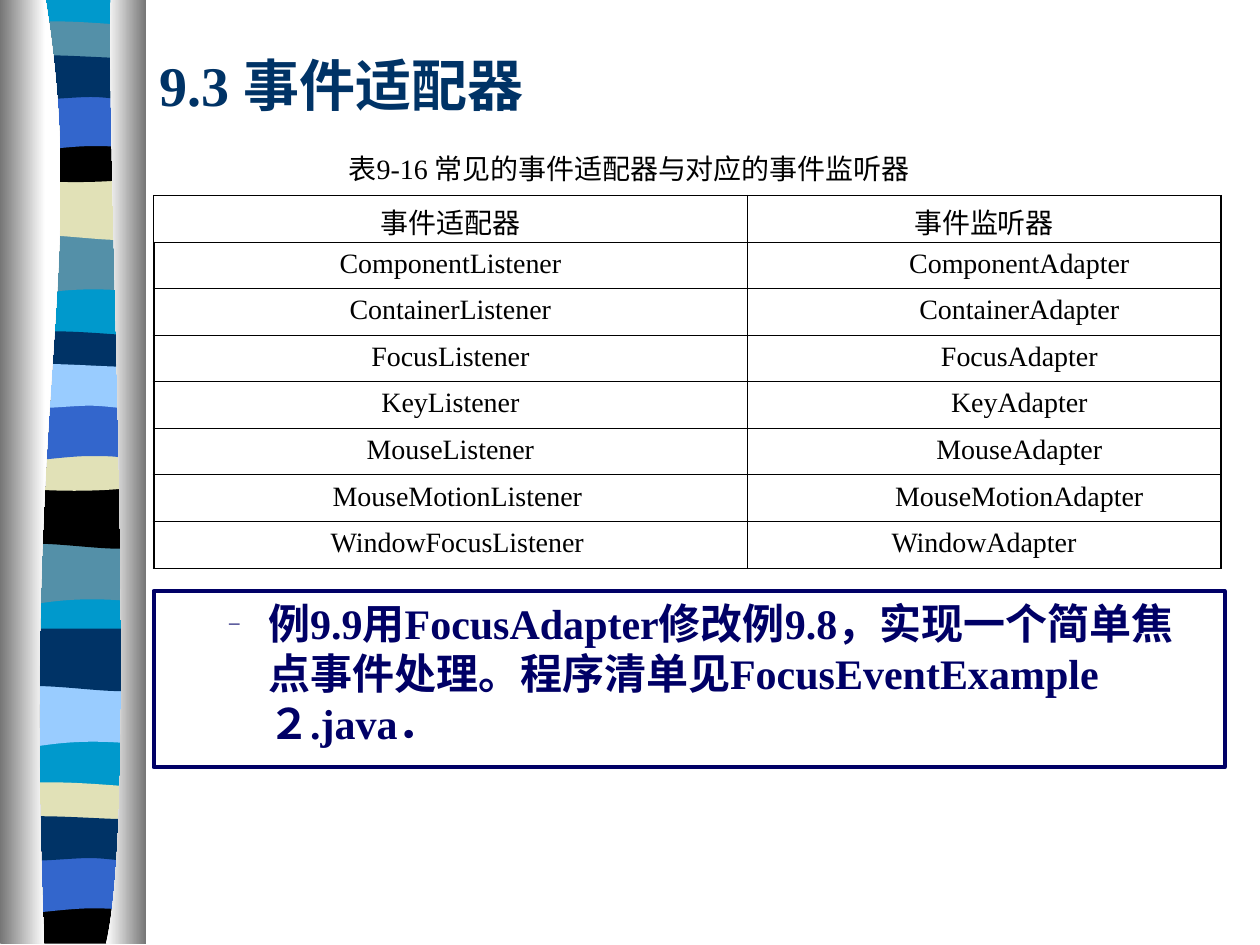
from lxml import etree
from pptx import Presentation
from pptx.dml.color import RGBColor
from pptx.enum.shapes import MSO_SHAPE as SHAPE
from pptx.enum.text import MSO_ANCHOR as ANCHOR, PP_ALIGN as ALIGN
from pptx.oxml.ns import qn
from pptx.util import Inches, Pt

FONT = "Times New Roman"
BLACK = RGBColor(0x00, 0x00, 0x00)
WHITE = RGBColor(0xFF, 0xFF, 0xFF)
GRAY = RGBColor(0x76, 0x76, 0x76)
NAVY = RGBColor(0x00, 0x33, 0x66)
INK = RGBColor(0x00, 0x00, 0x66)
CYAN = RGBColor(0x00, 0x99, 0xCC)
TEAL = RGBColor(0x54, 0x90, 0xA8)
SAND = RGBColor(0xE1, 0xE1, 0xB7)
BLUE = RGBColor(0x33, 0x66, 0xCC)
SKY = RGBColor(0x99, 0xCC, 0xFF)

# Band outlines from the top right corner, relative to the band's top left:
# a pair is a line end, six numbers are a cubic curve
WIDTH = 1.08
FLAT_TOP = [(0, 0), (WIDTH, 0)]
BOWED_TOP = [(0, 0), (0.66, 0.05, 0.85, 0, WIDTH, 0)]
BANDS = {
    "wave": [(WIDTH, 0.47), (0.33, 0.39, 0.18, 0.55, 0, 0.47)] + FLAT_TOP,
    "swell": [(WIDTH, 0.47), (0.9, 0.55, 0.33, 0.41, 0, 0.47)] + FLAT_TOP,
    "lens": [(WIDTH, 0.24), (0.9, 0.28, 0.18, 0.28, 0, 0.24), (0, 0),
             (0.06, -0.05, 0.23, -0.04, 0.41, -0.04),
             (0.59, -0.04, 0.94, -0.01, WIDTH, 0)],
    "bow": [(WIDTH, 0.32), (0.9, 0.38, 0.18, 0.38, 0, 0.32)] + BOWED_TOP,
    "arch": [(WIDTH, 0.47), (0.91, 0.42, 0.84, 0.42, 0.66, 0.42),
             (0.48, 0.42, 0.16, 0.47, 0, 0.47)] + FLAT_TOP,
    "ripple": [(WIDTH, 0.31), (1.01, 0.36, 0.84, 0.31, 0.66, 0.31),
               (0.48, 0.31, 0.11, 0.36, 0, 0.31), (0, 0),
               (0.15, -0.05, 0.73, 0, 0.91, 0), (1.09, 0, 1.04, 0, WIDTH, 0)],
    "foot": [(WIDTH, 0.37), (0, 0.37)] + BOWED_TOP,
    "back": [(WIDTH, 7.48), (0, 7.48)] + FLAT_TOP,
}

# Kind, left, top, colour, from back to front
RIBBON = [
    ("back", 0.06, -0.01, CYAN),
    ("wave", 0.06, 1.85, TEAL), ("swell", 0.06, 1.41, SAND),
    ("lens", 0.06, 0.21, TEAL), ("bow", 0.06, 1.08, BLACK),
    ("arch", 0.06, 0.74, BLUE), ("ripple", 0.06, 0.46, NAVY),
    ("wave", 0.05, 4.31, TEAL), ("swell", 0.05, 3.86, BLACK),
    ("lens", 0.05, 2.67, NAVY), ("bow", 0.05, 3.53, SAND),
    ("arch", 0.05, 3.2, BLUE), ("ripple", 0.05, 2.91, SKY),
    ("wave", 0.06, 5.44, SKY), ("swell", 0.06, 4.99, NAVY),
    ("lens", 0.05, 6.25, SAND), ("foot", 0.05, 7.12, BLACK),
    ("arch", 0.05, 6.79, BLUE), ("ripple", 0.05, 6.5, NAVY),
]

# Start, outline, colours from left to right
PILLARS = [
    ((0.36, -0.01), [(0.71, 2.16, 0.17, 2.96, 0.35, 7.49), (0, 7.49), (0, -0.01)],
     (GRAY, WHITE)),
    ((0.88, -0.01), [(0.84, 1.25, 1.11, 6.46, 0.84, 7.49), (1.16, 7.49), (1.16, -0.01)],
     (WHITE, GRAY)),
]

# Listener, its indent, adapter, its indent
ROWS = [
    ("事件适配器", 0, "事件监听器", 0),
    ("ComponentListener", 0, "ComponentAdapter", 0.56),
    ("ContainerListener", 0, "ContainerAdapter", 0.56),
    ("FocusListener", 0, "FocusAdapter", 0.56),
    ("KeyListener", 0, "KeyAdapter", 0.56),
    ("MouseListener", 0, "MouseAdapter", 0.56),
    ("MouseMotionListener", 0.11, "MouseMotionAdapter", 0.56),
    ("WindowFocusListener", 0.11, "WindowAdapter", 0),
]
THIN, THICK = Pt(0.45), Pt(1.47)


def write(p, text, color, **formats):
    r = p.add_run()
    r.text = text
    r.font.color.rgb = color
    for name, value in {"name": FONT, **formats}.items():
        setattr(r.font, name, value)


def add_outline(s, start, outline, left=0, top=0):
    def place(x, y):
        return Inches(left + x), Inches(top + y)

    builder = s.shapes.build_freeform(*place(*start))
    builder.add_line_segments([place(*seg[-2:]) for seg in outline], close=True)
    sp = builder.convert_to_shape()
    sp.shadow.inherit = False
    sp.line.fill.background()
    # Bend the six-number segments into cubic curves
    for line, seg in zip(list(sp._element.iter(qn("a:lnTo"))), outline):
        if len(seg) == 6:
            line.tag = qn("a:cubicBezTo")
            for i in (0, 1):
                x, y = place(*seg[2 * i:2 * i + 2])
                pt = etree.Element(qn("a:pt"), x=str(x - sp.left), y=str(y - sp.top))
                line.insert(i, pt)
    return sp


def add_ribbon(s):
    for kind, left, top, color in RIBBON:
        sp = add_outline(s, (WIDTH, 0), BANDS[kind], left, top)
        sp.fill.solid()
        sp.fill.fore_color.rgb = color
    for start, outline, colors in PILLARS:
        sp = add_outline(s, start, outline)
        sp.fill.gradient()
        sp.fill.gradient_angle = 0
        for stop, color in zip(sp.fill.gradient_stops, colors):
            stop.color.rgb = color


def add_label(s, box, text, color, wrap, **formats):
    tf = s.shapes.add_textbox(*map(Inches, box)).text_frame
    tf.word_wrap = wrap
    tf.vertical_anchor = ANCHOR.MIDDLE
    write(tf.paragraphs[0], text, color, **formats)


def set_borders(cell, widths):
    tc_pr = cell._tc.get_or_add_tcPr()
    for side, width in zip("LRTB", widths):
        ln = etree.SubElement(tc_pr, qn("a:ln" + side), w=str(width))
        fill = etree.SubElement(ln, qn("a:solidFill"))
        etree.SubElement(fill, qn("a:srgbClr"), val=str(BLACK))


def add_listener_table(s):
    frame = s.shapes.add_table(len(ROWS), 2, *map(Inches, (1.22, 1.55, 8.47, 2.96)))
    table = frame.table
    table.first_row = table.horz_banding = False
    for col, width in zip(table.columns, (4.71, 3.76)):
        col.width = Inches(width)
    for i, (listener, shift, adapter, indent) in enumerate(ROWS):
        table.rows[i].height = Inches(0.37)
        for j, (text, margin) in enumerate([(listener, shift), (adapter, indent)]):
            cell = table.cell(i, j)
            left = THICK if i and j == 0 else THIN
            set_borders(cell, (left, THICK if j else THIN, THIN, THIN))
            cell.fill.background()
            p = cell.text_frame.paragraphs[0]
            p.alignment = ALIGN.CENTER
            p._p.get_or_add_pPr().set("marL", str(Inches(margin)))
            write(p, text, BLACK, size=Pt(16), bold=False)


def add_example(s, box, text):
    sp = s.shapes.add_shape(SHAPE.RECTANGLE, *map(Inches, box))
    sp.shadow.inherit = False
    sp.fill.background()
    sp.line.color.rgb = INK
    sp.line.width = Pt(2.25)
    tf = sp.text_frame
    tf.word_wrap = True
    tf.vertical_anchor = ANCHOR.TOP
    p = tf.paragraphs[0]
    p.alignment = ALIGN.LEFT
    # Dash bullet at half the text size
    p_pr = p._p.get_or_add_pPr()
    p_pr.set("marL", str(Inches(0.81)))
    p_pr.set("indent", str(Inches(-0.31)))
    bu_clr = etree.SubElement(p_pr, qn("a:buClr"))
    etree.SubElement(bu_clr, qn("a:srgbClr"), val=str(INK))
    etree.SubElement(p_pr, qn("a:buSzPct"), val="50000")
    etree.SubElement(p_pr, qn("a:buFont"), typeface=FONT)
    etree.SubElement(p_pr, qn("a:buChar"), char="–")
    write(p, text, INK, size=Pt(24), bold=True)


def main():
    prs = Presentation()
    prs.slide_width, prs.slide_height = Inches(10), Inches(7.5)
    s = prs.slides.add_slide(prs.slide_layouts[6])
    add_ribbon(s)
    add_label(s, (1.17, 0.33, 8.5, 0.67), "9.3 事件适配器", NAVY, True,
              size=Pt(32), bold=True)
    add_label(s, (2.67, 1.15, 4.76, 0.37), "表9-16 常见的事件适配器与对应的事件监听器",
              BLACK, False, size=Pt(16))
    add_listener_table(s)
    add_example(s, (1.22, 4.69, 8.5, 1.4),
                "例9.9用FocusAdapter修改例9.8，实现一个简单焦点事件处理。"
                "程序清单见FocusEventExample２.java．")
    prs.save("out.pptx")


if __name__ == "__main__":
    main()
